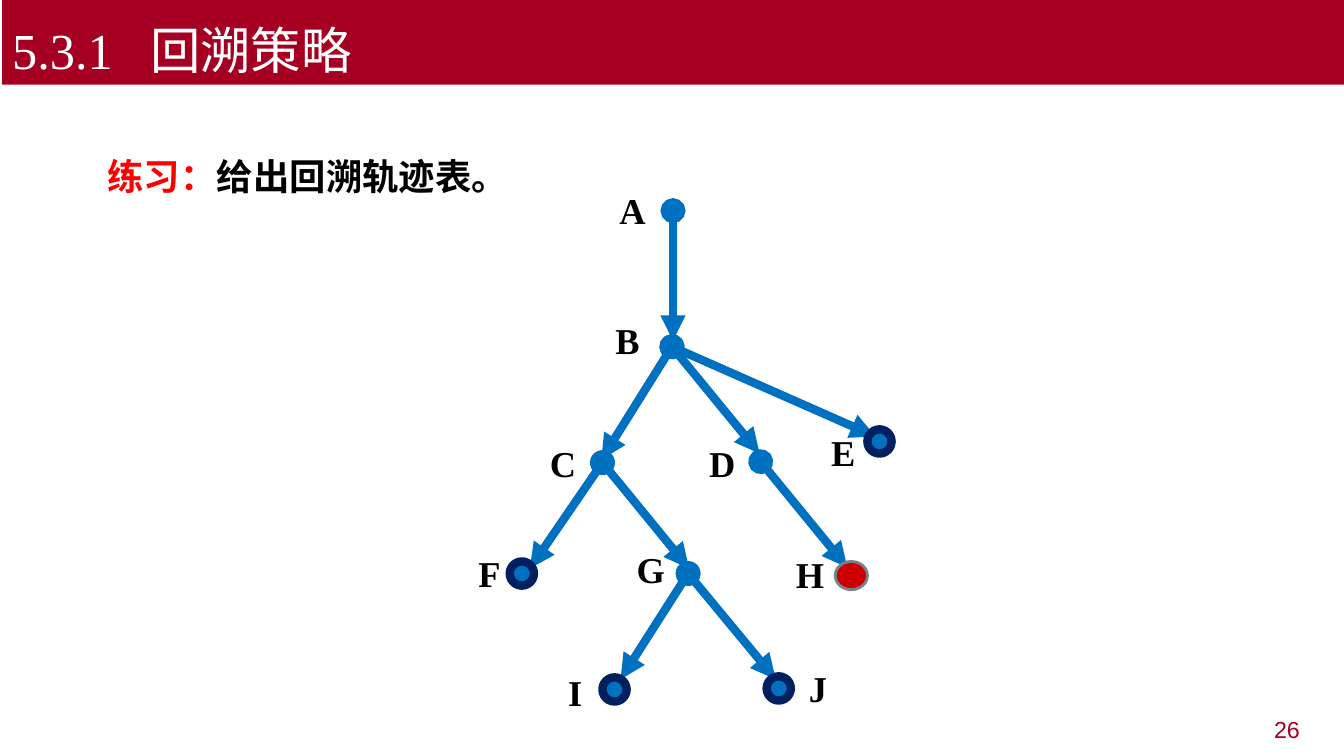
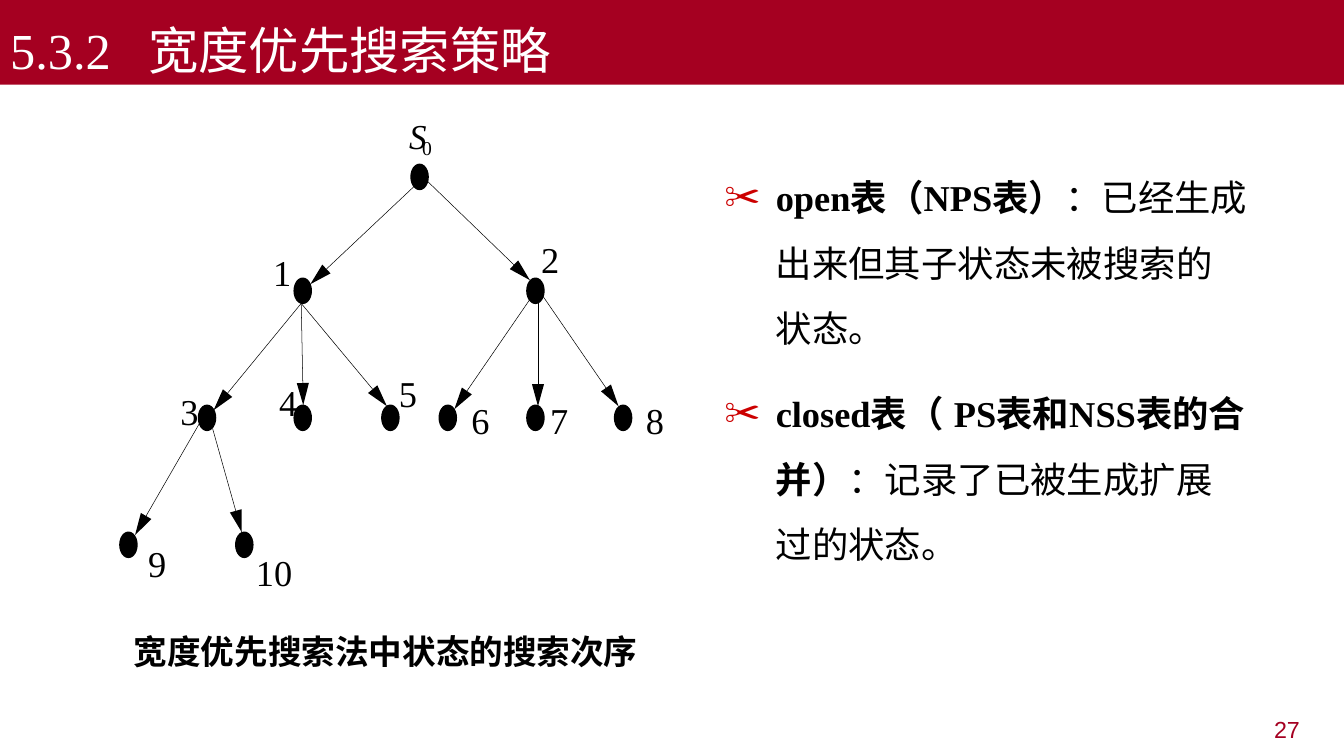
"""Build two lecture slides on backtracking and breadth-first search."""
from dataclasses import dataclass
from math import hypot

from lxml.etree import SubElement
from pptx import Presentation
from pptx.dml.color import RGBColor
from pptx.enum.shapes import MSO_CONNECTOR as Connector, MSO_SHAPE as Shape
from pptx.enum.text import MSO_ANCHOR as Anchor, MSO_AUTO_SIZE as AutoSize, PP_ALIGN as Align
from pptx.oxml.ns import qn
from pptx.util import Inches, Pt


@dataclass(frozen=True)
class Theme:
    band: str = "A50021"
    white: str = "FFFFFF"
    black: str = "000000"
    accent: str = "FF0000"
    bullet: str = "CC0000"
    edge: str = "0070C0"
    leaf_ring: str = "002060"
    goal_ring: str = "77828D"
    serif: str = "Times New Roman"
    sans: str = "Arial"
    title_size: float = 36
    text_size: float = 26
    caption_size: float = 24
    number_size: float = 16.6
    line_pitch: float = 46.8


THEME = Theme()
WIDTH, HEIGHT = 13.34, 7.5
BAND_HEIGHT = 0.84
TITLE_TAB = 1.37
HANGING = 0.51
LABEL_SIZE = (0.72, 0.54)
DOT_SIZE = (0.17, 0.25)
HEAD_LENGTH, HEAD_HALF_WIDTH = 0.22, 0.06

BACKTRACK = {"title": "5.3.1\t回溯策略", "number": "26", "left": 0.02}
EXERCISE = [("练习：", {"color": THEME.accent, "bold": True}),
            ("给出回溯轨迹表。", {"bold": True})]
NODES = {
    "A": {"center": (6.68, 2.09), "label": (6.05, 1.82)},
    "B": {"center": (6.67, 3.44), "label": (6.01, 3.11)},
    "C": {"center": (5.98, 4.59), "label": (5.36, 4.33)},
    "D": {"center": (7.55, 4.58), "label": (6.94, 4.33)},
    "E": {"center": (8.73, 4.38), "label": (8.15, 4.22), "kind": "leaf"},
    "F": {"center": (5.18, 5.69), "label": (4.65, 5.42), "kind": "leaf"},
    "G": {"center": (6.83, 5.69), "label": (6.22, 5.38)},
    "H": {"center": (8.45, 5.71), "label": (7.8, 5.43), "kind": "goal"},
    "I": {"center": (6.1, 6.84), "label": (5.54, 6.6), "kind": "leaf"},
    "J": {"center": (7.73, 6.83), "label": (7.93, 6.56), "kind": "leaf"},
}
NODE_STYLES = {
    "leaf": {"size": (0.24, 0.24), "fill": THEME.edge, "line": THEME.leaf_ring, "weight": 6},
    "goal": {"size": (0.32, 0.28), "fill": THEME.bullet, "line": THEME.goal_ring, "weight": 2},
}
EDGES = [
    ("A", (6.68, 3.38)), ("B", (5.97, 4.56)), ("B", (7.54, 4.5)), ("B", (8.69, 4.33)),
    ("C", (5.26, 5.64)), ("C", (6.84, 5.64)), ("D", (8.41, 5.63)),
    ("G", (6.16, 6.74)), ("G", (7.7, 6.74)),
]

BREADTH = {"title": "5.3.2\t宽度优先搜索策略", "number": "27", "left": 0}
DOT_ROWS = {1.63: [4.08], 2.76: [2.92, 5.23],
            4.02: [1.97, 2.92, 3.79, 4.36, 5.23, 6.1], 5.28: [1.19, 2.34]}
ARROWS = [
    ((4.11, 1.85), (3.08, 2.82)), ((4.1, 1.66), (5.26, 2.78)),
    ((2.99, 3.01), (2.12, 4.07)), ((2.99, 3.01), (3.01, 4.02)),
    ((2.99, 3.01), (3.84, 4.03)), ((5.26, 2.97), (4.51, 4.06)),
    ((5.34, 3.01), (5.34, 4.03)), ((5.39, 2.94), (6.14, 4.03)),
    ((1.98, 4.2), (1.34, 5.31)), ((2.11, 4.25), (2.4, 5.28)),
]
ORDER_LABELS = [
    ("0", (4.19, 1.35), {"size": 14}), ("S", (4.06, 1.14), {"size": 25, "italic": True}),
    ("1", (2.71, 2.48), {}), ("2", (5.37, 2.35), {}), ("3", (1.79, 3.86), {}),
    ("4", (2.77, 3.77), {}), ("5", (3.96, 3.68), {}), ("6", (4.68, 3.95), {}),
    ("7", (5.46, 3.95), {}), ("8", (6.41, 3.95), {}), ("9", (1.47, 5.37), {}),
    ("10", (2.54, 5.46), {}),
]
CAPTION = "宽度优先搜索法中状态的搜索次序"
DEFINITIONS = [
    ("open表（NPS表）", "：已经生成出来但其子状态未被搜索的状态。"),
    ("closed表（ PS表和NSS表的合并）", "：记录了已被生成扩展过的状态。"),
]


def rgb(value):
    return RGBColor.from_string(value)


def place(shape, left, top, width, height):
    for name, value in {"left": left, "top": top, "width": width, "height": height}.items():
        setattr(shape, name, Inches(value))


def add_run(paragraph, text, size=THEME.text_size, name=THEME.serif,
            color=THEME.black, bold=False, italic=False):
    run = paragraph.add_run()
    run.text = text
    values = {"size": Pt(size), "name": name, "bold": bold, "italic": italic}
    for attribute, value in values.items():
        setattr(run.font, attribute, value)
    run.font.color.rgb = rgb(color)
    SubElement(run.font._element, qn("a:ea"), typeface=THEME.sans)


def add_text(slide, position, size, runs, inset=True, **formats):
    box = slide.shapes.add_textbox(*map(Inches, (*position, *size)))
    frame = box.text_frame
    frame.word_wrap = True
    if not inset:
        for side in ("left", "top", "right", "bottom"):
            setattr(frame, f"margin_{side}", 0)
    paragraph = frame.paragraphs[0]
    for attribute, value in formats.items():
        setattr(paragraph, attribute, value)
    for text, style in runs:
        add_run(paragraph, text, **style)


def add_ellipse(slide, position, size, fill, line, weight):
    shape = slide.shapes.add_shape(Shape.OVAL, *map(Inches, (*position, *size)))
    shape.shadow.inherit = False
    shape.fill.solid()
    shape.fill.fore_color.rgb = rgb(fill)
    shape.line.color.rgb = rgb(line)
    shape.line.width = Pt(weight)


def add_line(slide, start, end, color, weight, ends=()):
    line = slide.shapes.add_connector(Connector.STRAIGHT, *map(Inches, (*start, *end)))
    line.line.color.rgb = rgb(color)
    line.line.width = Pt(weight)
    properties = line._element.spPr
    for tag, kind in ends:
        SubElement(properties.find(qn("a:ln")), qn(tag), type=kind)
    SubElement(properties, qn("a:effectLst"))


def add_arrow(slide, start, tip):
    length = hypot(tip[0] - start[0], tip[1] - start[1])
    across, down = ((end - begin) / length for begin, end in zip(start, tip))
    base = (tip[0] - HEAD_LENGTH * across, tip[1] - HEAD_LENGTH * down)
    add_line(slide, start, base, THEME.black, 0.37)
    corners = [(base[0] - side * down, base[1] + side * across)
               for side in (HEAD_HALF_WIDTH, -HEAD_HALF_WIDTH)]
    builder = slide.shapes.build_freeform(*map(Inches, tip), scale=1.0)
    builder.add_line_segments([tuple(map(Inches, corner)) for corner in corners], close=True)
    head = builder.convert_to_shape()
    head.shadow.inherit = False
    head.fill.solid()
    head.fill.fore_color.rgb = rgb(THEME.black)
    head.line.fill.background()


def start_slide(presentation, layout, title, number, left):
    slide = presentation.slides.add_slide(presentation.slide_layouts[layout])
    band = slide.shapes.title
    place(band, left, 0, WIDTH - left, BAND_HEIGHT)
    band.fill.solid()
    band.fill.fore_color.rgb = rgb(THEME.band)
    frame = band.text_frame
    frame.auto_size = AutoSize.NONE
    frame.vertical_anchor = Anchor.BOTTOM
    paragraph = frame.paragraphs[0]
    paragraph.alignment = Align.LEFT
    tabs = SubElement(paragraph._element.get_or_add_pPr(), qn("a:tabLst"))
    SubElement(tabs, qn("a:tab"), pos=str(Inches(TITLE_TAB)), algn="l")
    add_run(paragraph, title, size=THEME.title_size, color=THEME.white)
    number_style = {"size": THEME.number_size, "name": THEME.sans, "color": THEME.band}
    add_text(slide, (10.11, 7.08), (2.89, 0.39), [(number, number_style)],
             alignment=Align.RIGHT, line_spacing=0.9)
    return slide


def fill_definitions(body):
    place(body, 7.09, 1.47, 5.41, 5.07)
    frame = body.text_frame
    frame.auto_size = AutoSize.NONE
    for index, (term, meaning) in enumerate(DEFINITIONS):
        paragraph = frame.add_paragraph() if index else frame.paragraphs[0]
        paragraph.line_spacing = Pt(THEME.line_pitch)
        paragraph.space_before = Pt(14 if index else 0)
        properties = paragraph._element.get_or_add_pPr()
        properties.set("marL", str(Inches(HANGING)))
        properties.set("indent", str(-Inches(HANGING)))
        color = SubElement(properties, qn("a:buClr"))
        SubElement(color, qn("a:srgbClr"), val=THEME.bullet)
        SubElement(properties, qn("a:buChar"), char="✂")
        add_run(paragraph, term, bold=True)
        add_run(paragraph, meaning)


def build_backtrack(presentation):
    slide = start_slide(presentation, 5, **BACKTRACK)
    for parent, tip in EDGES:
        add_line(slide, NODES[parent]["center"], tip, THEME.edge, 6,
                 [("a:headEnd", "oval"), ("a:tailEnd", "triangle")])
    for name, node in NODES.items():
        if "kind" in node:
            style = NODE_STYLES[node["kind"]]
            corner = [middle - extent / 2 for middle, extent in zip(node["center"], style["size"])]
            add_ellipse(slide, corner, **style)
        add_text(slide, node["label"], LABEL_SIZE, [(name, {"bold": True})])
    add_text(slide, (0.97, 1.48), (4.5, 0.54), EXERCISE)


def build_breadth(presentation):
    slide = start_slide(presentation, 1, **BREADTH)
    fill_definitions(slide.placeholders[1])
    for top, lefts in DOT_ROWS.items():
        for left in lefts:
            add_ellipse(slide, (left, top), DOT_SIZE, THEME.black, THEME.black, 1)
    for start, tip in ARROWS:
        add_arrow(slide, start, tip)
    for text, position, style in ORDER_LABELS:
        size = style.get("size", THEME.text_size)
        extent = (len(text) * size / 144 + 0.1, size / 60)
        add_text(slide, position, extent, [(text, style)], inset=False)
    caption_style = {"size": THEME.caption_size, "name": THEME.sans, "bold": True}
    add_text(slide, (1.23, 6.21), (5.43, 0.5), [(CAPTION, caption_style)])


def main():
    presentation = Presentation()
    presentation.slide_width = Inches(WIDTH)
    presentation.slide_height = Inches(HEIGHT)
    build_backtrack(presentation)
    build_breadth(presentation)
    presentation.save("out.pptx")


if __name__ == "__main__":
    main()
